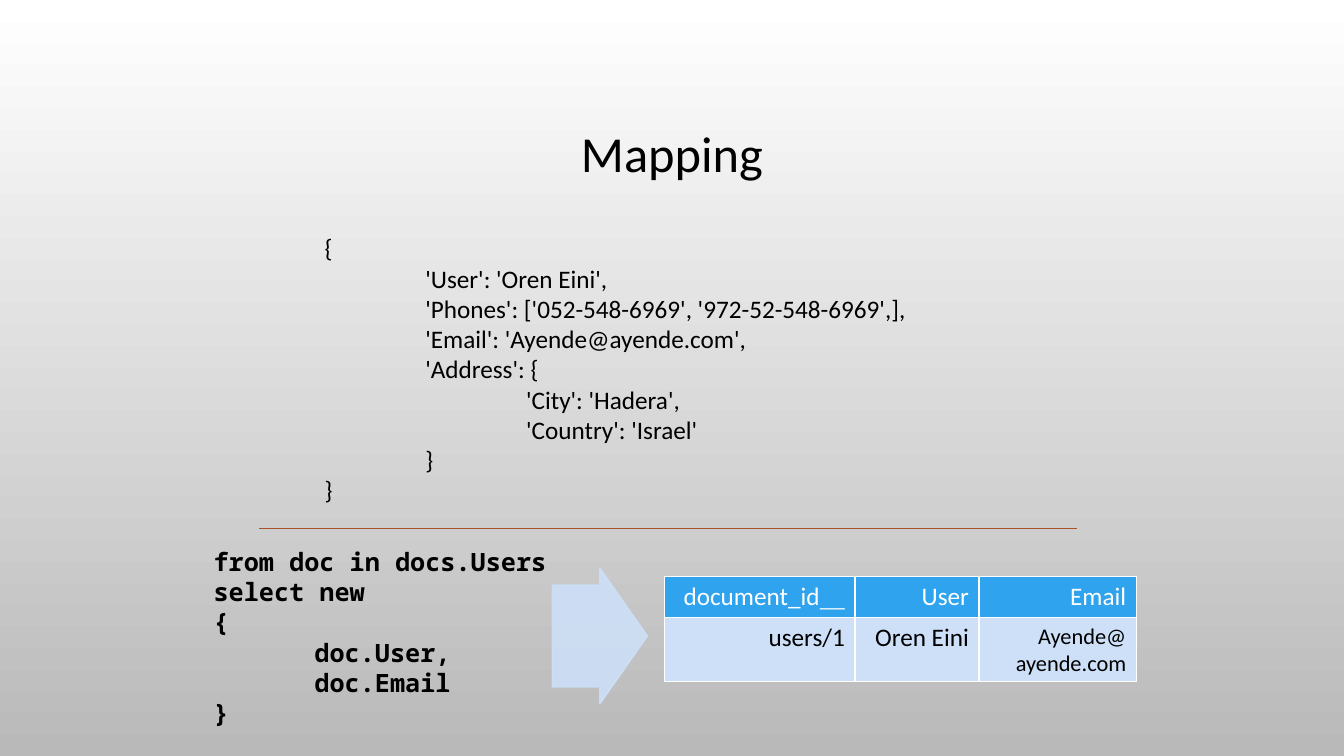
from lxml import etree
from pptx import Presentation
from pptx.dml.color import RGBColor
from pptx.enum.shapes import MSO_CONNECTOR, MSO_SHAPE
from pptx.enum.text import MSO_ANCHOR, PP_ALIGN
from pptx.oxml import parse_xml
from pptx.oxml.ns import nsdecls, qn
from pptx.util import Inches, Pt

COLORS = {"black": "000000", "white": "FFFFFF", "grey": "B9B9B9",
          "header": "2FA3EE", "pale": "CDE0F8", "rule": "A55229"}
RGB = {name: RGBColor.from_string(value) for name, value in COLORS.items()}


def style_text(tf, font, size, color="black", bold=False):
    for p in tf.paragraphs:
        for r in p.runs:
            r.font.name = font
            r.font.size = Pt(size)
            r.font.bold = bold
            r.font.color.rgb = RGB[color]


def add_code(s, left, top, width, height, text, font, bold):
    tf = s.shapes.add_textbox(Inches(left), Inches(top), Inches(width), Inches(height)).text_frame
    tf.word_wrap = True
    tf.text = text
    style_text(tf, font, 18, bold=bold)
    for p in tf.paragraphs:
        tabs = etree.SubElement(p._p.get_or_add_pPr(), qn("a:tabLst"))
        for position in (1, 2):
            etree.SubElement(tabs, qn("a:tab"), pos=str(Inches(position)), algn="l")


prs = Presentation()
prs.slide_width, prs.slide_height = Inches(13.33), Inches(7.5)
s = prs.slides.add_slide(prs.slide_layouts[5])

fill = s.background.fill
fill.gradient()
fill.gradient_angle = 270
for stop, name, position in zip(fill.gradient_stops, ("white", "grey"), (0, 1)):
    stop.color.rgb = RGB[name]
    stop.position = position

title = s.shapes.title
title.left, title.top, title.width, title.height = Inches(1), Inches(0.67), Inches(11.33), Inches(1.75)
tf = title.text_frame
tf.text = "Mapping"
tf.vertical_anchor = MSO_ANCHOR.MIDDLE
tf.paragraphs[0].alignment = PP_ALIGN.CENTER
tf.paragraphs[0].line_spacing = 0.9
style_text(tf, "Calibri", 36)

query = """from doc in docs.Users
select new
{
\tdoc.User,
\tdoc.Email
}"""
add_code(s, 2.02, 5.37, 3.86, 1.92, query, "Noto Sans Mono", True)

rows = [["__document_id", "User", "Email"],
        ["users/1", "Oren Eini", "Ayende@\vayende.com"]]
frame = s.shapes.add_table(2, 3, Inches(6.59), Inches(5.72), Inches(4.68), Inches(1.04))
table = frame.table
for column, width in zip(table.columns, (1.89, 1.23, 1.56)):
    column.width = Inches(width)
for row, height in zip(table.rows, (0.41, 0.63)):
    row.height = Inches(height)
for i, row in enumerate(rows):
    for j, text in enumerate(row):
        cell = table.cell(i, j)
        cell.text = text
        p = cell.text_frame.paragraphs[0]
        p.alignment = PP_ALIGN.RIGHT
        p._p.get_or_add_pPr().set("rtl", "1")
        size = 16 if "@" in text else 18
        style_text(cell.text_frame, "Calibri", size, "black" if i else "white")
        tcPr = cell._tc.get_or_add_tcPr()
        for side in ("lnL", "lnR", "lnT", "lnB"):
            tcPr.append(parse_xml(
                f'<a:{side} {nsdecls("a")} w="12700"><a:solidFill>'
                f'<a:srgbClr val="{COLORS["white"]}"/></a:solidFill></a:{side}>'))
        cell.fill.solid()
        cell.fill.fore_color.rgb = RGB["pale" if i else "header"]

arrow = s.shapes.add_shape(MSO_SHAPE.RIGHT_ARROW, Inches(5.48), Inches(5.64), Inches(0.94), Inches(1.34))
arrow.adjustments[0], arrow.adjustments[1] = 0.75, 0.5
arrow.shadow.inherit = False
arrow.fill.solid()
arrow.fill.fore_color.rgb = RGB["pale"]
arrow.line.color.rgb = RGB["pale"]
arrow.line.width = Pt(1.25)
for color in arrow._element.spPr.iter(qn("a:srgbClr")):
    etree.SubElement(color, qn("a:alpha")).set("val", "90000")

document = """{
\t'User': 'Oren Eini',
\t'Phones': ['052-548-6969', '972-52-548-6969',],
\t'Email': 'Ayende@ayende.com',
\t'Address': {
\t\t'City': 'Hadera',
\t\t'Country': 'Israel'
\t}
}"""
add_code(s, 3.12, 2.26, 7.48, 2.83, document, "Calibri", False)

rule = s.shapes.add_connector(MSO_CONNECTOR.STRAIGHT, Inches(2.57), Inches(5.24), Inches(10.68), Inches(5.24))
rule.line.color.rgb = RGB["rule"]
rule.line.width = Pt(0.75)
etree.SubElement(rule._element.spPr, qn("a:effectLst"))
rule._element.remove(rule._element.find(qn("p:style")))

prs.save("out.pptx")
